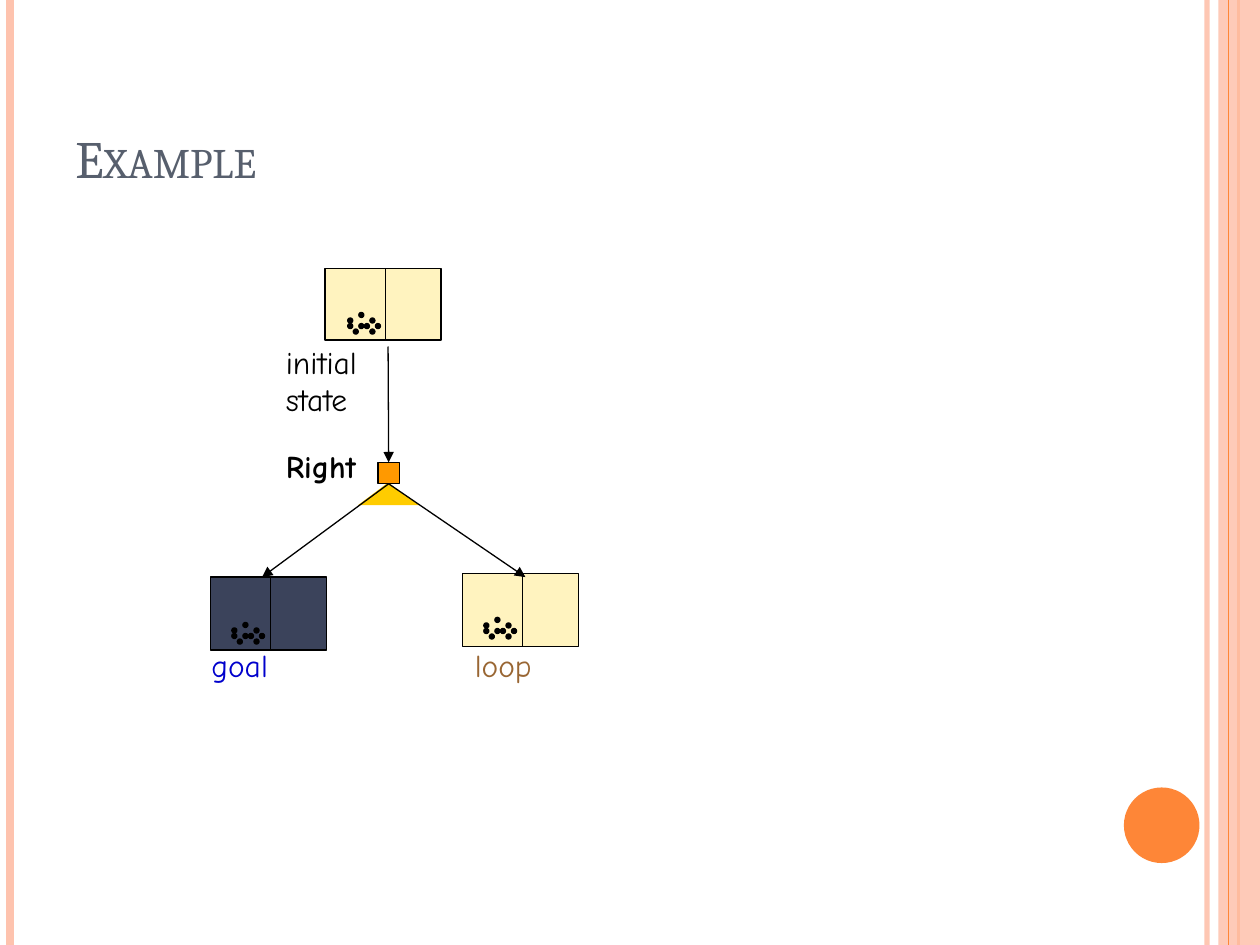
import pptx
import pptx.dml.color
import pptx.enum.shapes
import pptx.enum.text
import pptx.oxml.ns
import pptx.util
from lxml import etree
from pptx.util import Inches

RGBColor = pptx.dml.color.RGBColor
SHAPE = pptx.enum.shapes.MSO_SHAPE
ANCHOR = pptx.enum.text.MSO_ANCHOR
STRAIGHT = pptx.enum.shapes.MSO_CONNECTOR.STRAIGHT
qn = pptx.oxml.ns.qn

PEACH = RGBColor(0xFE, 0xC3, 0xAE)
ORANGE = RGBColor(0xFE, 0x86, 0x37)
SLATE = RGBColor(0x57, 0x5F, 0x6D)
BLACK = RGBColor(0, 0, 0)
GOLD = RGBColor(0xFF, 0xCC, 0)
AMBER = RGBColor(0xFF, 0x99, 0)
CREAM = RGBColor(0xFF, 0xF3, 0xBF)
NAVY = RGBColor(0x3B, 0x43, 0x5B)
BLUE = RGBColor(0, 0, 0xCC)
BROWN = RGBColor(0x99, 0x66, 0x33)

presentation = pptx.Presentation()
presentation.slide_width = Inches(10)
presentation.slide_height = Inches(7.5)
slide = presentation.slides.add_slide(presentation.slide_layouts[6])
shapes = slide.shapes


def add_text(text, left, top, width, height, color=BLACK, size=18, font="Comic Neue",
             bold=False, small_caps=False, wrap=False, anchor=ANCHOR.TOP):
    box = shapes.add_textbox(Inches(left), Inches(top), Inches(width), Inches(height))
    frame = box.text_frame
    frame.word_wrap = wrap
    frame.vertical_anchor = anchor
    paragraph = frame.paragraphs[0]
    paragraph.text = text
    for run in paragraph.runs:
        run.font.size = pptx.util.Pt(size)
        run.font.name = font
        run.font.bold = bold
        run.font.color.rgb = color
        if small_caps:
            run.font._element.set("cap", "small")


def add_filled(kind, left, top, width, height, fill, outline=True):
    shape = shapes.add_shape(kind, Inches(left), Inches(top), Inches(width), Inches(height))
    shape.shadow.inherit = False
    shape.fill.solid()
    shape.fill.fore_color.rgb = fill
    if outline:
        shape.line.color.rgb = BLACK
        shape.line.width = pptx.util.Pt(0.75)
    else:
        shape.line.fill.background()
    return shape


# Side stripes: the band lies over the first three lines
connectors = []
translucent = []
for x, color, weight in [(9.58, PEACH, 3), (0.08, PEACH, 4.5),
                         (9.83, ORANGE, 1.5), (9.75, ORANGE, 0.75)]:
    if x == 9.75:
        band = add_filled(SHAPE.RECTANGLE, 9.67, 0, 0.33, 7.5, PEACH, outline=False)
        translucent.append((band, 87))
    stripe = shapes.add_connector(STRAIGHT, Inches(x), 0, Inches(x), Inches(7.5))
    stripe.line.color.rgb = color
    stripe.line.width = pptx.util.Pt(weight)
    connectors.append(stripe)
translucent.append((connectors[0], 93))
for shape, opacity in translucent:
    color_element = next(shape._element.spPr.iter(qn("a:srgbClr")))
    etree.SubElement(color_element, qn("a:alpha")).set("val", str(opacity * 1000))

add_filled(SHAPE.OVAL, 8.92, 6.25, 0.6, 0.6, ORANGE, outline=False)

# Title
add_text("Example", 0.5, 0.3, 8.17, 1.25, color=SLATE, size=30, font="Cambria",
         small_caps=True, wrap=True, anchor=ANCHOR.BOTTOM)

# Wedge that joins the two outcomes
builder = shapes.build_freeform(Inches(3.08), Inches(3.83))
builder.add_line_segments([(Inches(2.84), Inches(4.01)), (Inches(3.33), Inches(4.01))])
wedge = builder.convert_to_shape()
wedge.shadow.inherit = False
wedge.fill.solid()
wedge.fill.fore_color.rgb = GOLD
wedge.line.fill.background()

# States: two rooms each, with dirt in the left room
DIRT_CELLS = [(0, 1), (2, 2), (1, 3), (2, 0), (4, 1), (3, 2), (5, 2), (0, 2), (4, 3)]
DIRT_STEP = 0.22 / 5
for left, top, height, dirt_left, dirt_top, fill in [
        (2.58, 2.13, 0.57, 2.76, 2.48, CREAM),
        (1.67, 4.58, 0.58, 1.84, 4.94, NAVY),
        (3.67, 4.55, 0.58, 3.84, 4.9, CREAM)]:
    add_filled(SHAPE.RECTANGLE, left, top, 0.52, height, fill)
    add_filled(SHAPE.RECTANGLE, left + 0.48, top, 0.44, height, fill)
    for column, row in DIRT_CELLS:
        add_filled(SHAPE.OVAL, dirt_left + column * DIRT_STEP,
                   dirt_top + row * DIRT_STEP, 0.04, 0.04, BLACK)

# Action node and arrows
node = add_filled(SHAPE.RECTANGLE, 3, 3.67, 0.17, 0.17, AMBER)
for start, end in [((3.08, 2.75), (3.08, 3.67)),
                   ((3.08, 3.83), (2.08, 4.58)),
                   ((3.08, 3.83), (4.17, 4.58))]:
    arrow = shapes.add_connector(STRAIGHT, *map(Inches, start + end))
    if end[1] == 3.67:
        arrow.end_connect(node, 0)
    else:
        arrow.begin_connect(node, 2)
    arrow.line.color.rgb = BLACK
    arrow.line.width = pptx.util.Pt(0.75)
    line_element = arrow.line._get_or_add_ln()
    etree.SubElement(line_element, qn("a:tailEnd")).set("type", "triangle")
    connectors.append(arrow)

for connector in connectors:
    etree.SubElement(connector._element.spPr, qn("a:effectLst"))

# Labels
add_text("Right", 2.17, 3.5, 0.82, 0.4, bold=True)
add_text("loop", 3.67, 5.08, 0.67, 0.4, color=BROWN)
add_text("initial\vstate", 2.17, 2.67, 0.85, 0.7)
add_text("goal", 1.58, 5.08, 0.66, 0.4, color=BLUE)

presentation.save("out.pptx")
